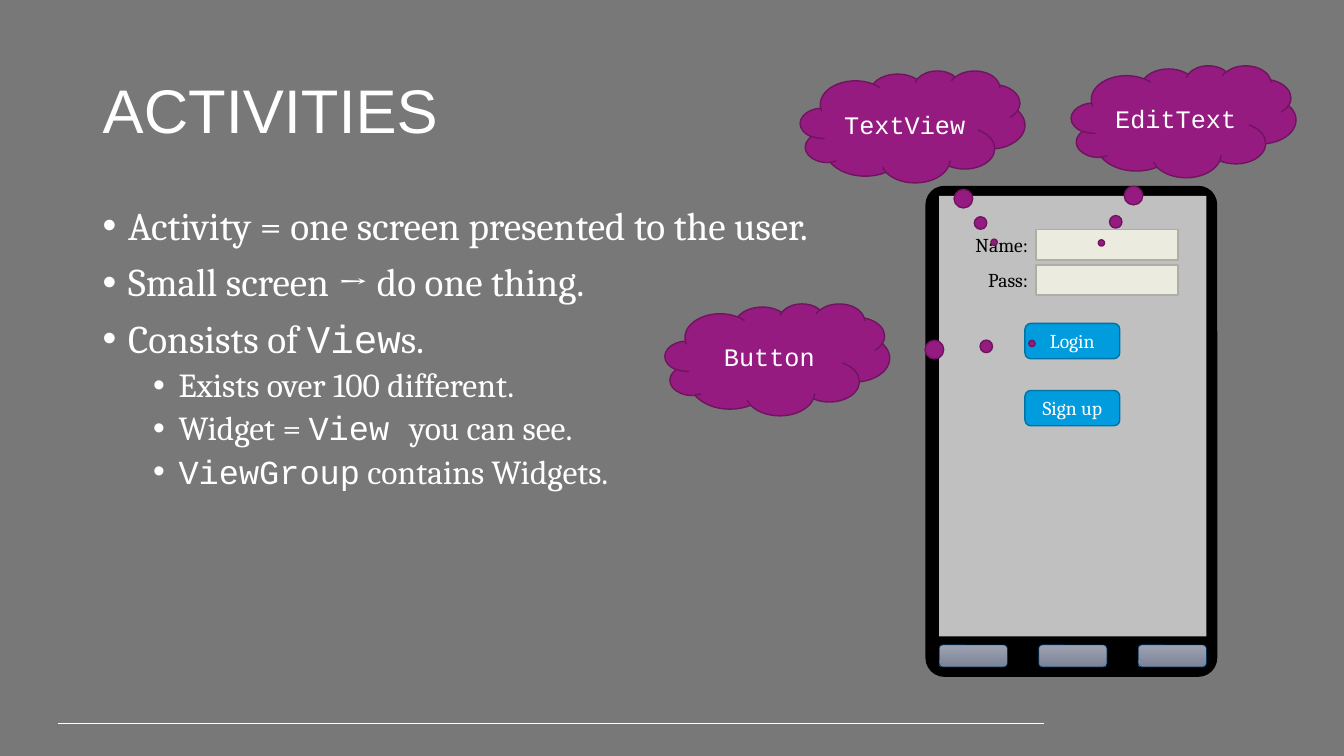
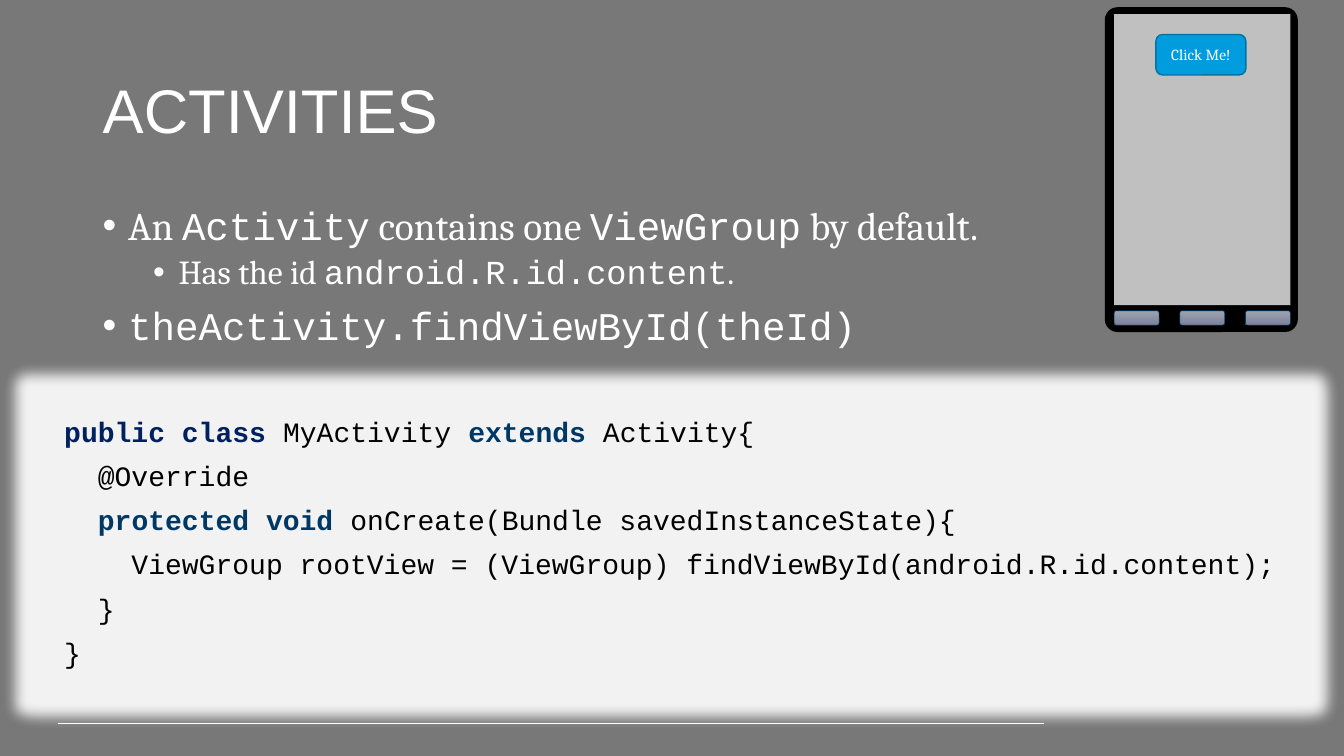
from lxml import etree
from pptx import Presentation
from pptx.dml.color import RGBColor
from pptx.enum import shapes, text
from pptx.oxml import ns
from pptx.util import Cm, Pt

WHITE = RGBColor(0xFF, 0xFF, 0xFF)
BLACK = RGBColor(0x00, 0x00, 0x00)
BACKGROUND = RGBColor(0x78, 0x78, 0x78)
SCREEN = RGBColor(0xC0, 0xC0, 0xC0)
KEY_TOP = RGBColor(0x9D, 0xA3, 0xB1)
KEY_BOTTOM = RGBColor(0x7C, 0x83, 0x97)
STEEL = RGBColor(0x00, 0x38, 0x65)
NAVY = RGBColor(0x00, 0x20, 0x60)
FIELD = RGBColor(0xEB, 0xEB, 0xDF)
FIELD_EDGE = RGBColor(0xAE, 0xAE, 0xA5)
BLUE = RGBColor(0x00, 0x9C, 0xDE)
BLUE_EDGE = RGBColor(0x00, 0x73, 0xA4)
PURPLE = RGBColor(0x96, 0x1B, 0x81)
PURPLE_EDGE = RGBColor(0x6F, 0x14, 0x5F)
PANEL = RGBColor(0xF2, 0xF2, 0xF2)

HEADING, SERIF, MONO = "Arial", "Cambria", "Courier New"
SHAPE = shapes.MSO_SHAPE
ALIGN = text.PP_ALIGN
MIDDLE = text.MSO_ANCHOR.MIDDLE


def add_element(parent, tag, **attributes):
    element = etree.SubElement(parent, ns.qn(tag))
    for name, value in attributes.items():
        element.set(name, str(value))
    return element


def add_effect(shape, tag, color, opacity=100, **attributes):
    """Put one effect, such as a glow, into the shape's effect list."""
    effects = shape._element.spPr.find(ns.qn("a:effectLst"))
    effect = add_element(effects, tag, **attributes)
    fill = add_element(effect, "a:srgbClr", val=color)
    add_element(fill, "a:alpha", val=opacity * 1000)


def write(frame, content, font=SERIF, size=14, color=WHITE, align=ALIGN.LEFT,
          spacing=None, before=0, level=None, accents=()):
    """Add a paragraph; segments between backticks take the accents in turn."""
    first = not frame.text
    paragraph = frame.paragraphs[0] if first else frame.add_paragraph()
    paragraph.alignment = align
    paragraph.line_spacing = spacing
    paragraph.space_before = Pt(0 if first else before)
    if level is not None:
        paragraph.level = level
        properties = paragraph._p.get_or_add_pPr()
        properties.set("marL", str(Cm(0.64 + 1.27 * level)))
        properties.set("indent", str(-Cm(0.64)))
        add_element(properties, "a:buFont", typeface=HEADING)
        add_element(properties, "a:buChar", char="•")
    for index, segment in enumerate(content.split("`")):
        if not segment:
            continue
        style = {"name": font, "size": Pt(size), "bold": False, "color": color}
        if index % 2:
            style.update(accents[index // 2])
        run = paragraph.add_run()
        run.text = segment
        run.font.color.rgb = style.pop("color")
        for name, value in style.items():
            setattr(run.font, name, value)


class Deck:
    def __init__(self):
        self.presentation = Presentation()
        self.presentation.slide_width = Cm(33.87)
        self.presentation.slide_height = Cm(19.05)
        self.slide = None

    def start_slide(self, title):
        self.slide = self.presentation.slides.add_slide(
            self.presentation.slide_layouts[6])
        background = self.slide.background.fill
        background.solid()
        background.fore_color.rgb = BACKGROUND
        rule = self.slide.shapes.add_connector(
            shapes.MSO_CONNECTOR.STRAIGHT, Cm(1.45), Cm(18.23), Cm(26.32), Cm(18.23))
        rule.line.color.rgb = WHITE
        rule.line.width = Pt(0.75)
        add_element(rule._element.spPr, "a:effectLst")
        frame = self.text_box(2.34, 1.02, 29.21, 3.68)
        frame.vertical_anchor = MIDDLE
        write(frame, title, font=HEADING, size=44, spacing=0.9)

    def text_box(self, left, top, width, height):
        box = self.slide.shapes.add_textbox(Cm(left), Cm(top), Cm(width), Cm(height))
        box.text_frame.word_wrap = True
        return box.text_frame

    def shape(self, kind, left, top, width, height, fill, line=None,
              line_width=1, adjust=(), parent=None):
        shape = (parent or self.slide).shapes.add_shape(
            kind, Cm(left), Cm(top), Cm(width), Cm(height))
        shape.shadow.inherit = False
        for index, value in enumerate(adjust):
            shape.adjustments[index] = value
        shape.fill.solid()
        shape.fill.fore_color.rgb = fill
        if line is None:
            shape.line.fill.background()
        else:
            shape.line.color.rgb = line
            shape.line.width = Pt(line_width)
        return shape

    def labelled(self, label, kind, *place, font=SERIF, size=14, **look):
        shape = self.shape(kind, *place, **look)
        shape.text_frame.vertical_anchor = MIDDLE
        write(shape.text_frame, label, font=font, size=size, align=ALIGN.CENTER)

    def button(self, label, left, top, width=2.39, height=0.89, size=14):
        self.labelled(label, SHAPE.ROUNDED_RECTANGLE, left, top, width, height,
                      size=size, fill=BLUE, line=BLUE_EDGE)

    def cloud(self, label, left, top, tail):
        self.labelled(label, SHAPE.CLOUD_CALLOUT, left, top, 5.66, 2.82, font=MONO,
                      size=18, fill=PURPLE, line=PURPLE_EDGE, adjust=tail)

    def field(self, label, top):
        frame = self.text_box(24, top, 2.16, 0.86)
        write(frame, label, color=BLACK, align=ALIGN.RIGHT)
        self.shape(SHAPE.RECTANGLE, 26.11, top + 0.05, 3.58, 0.76, FIELD, FIELD_EDGE)

    def phone(self, left, top, width, height):
        group = self.slide.shapes.add_group_shape()
        self.shape(SHAPE.ROUNDED_RECTANGLE, left, top, width, height, BLACK, BLACK,
                   adjust=[0.063], parent=group)
        screen_left, screen_width = left + 0.045 * width, 0.92 * width
        screen = self.shape(SHAPE.RECTANGLE, screen_left, top + 0.019 * height,
                            screen_width, 0.9 * height, SCREEN, parent=group)
        add_effect(screen, "a:outerShdw", BLACK, 63, blurRad=Pt(4.5),
                   dist=Pt(1.5), dir=5400000)
        key_width = 0.235 * width
        for index in range(3):
            key = self.shape(
                SHAPE.ROUNDED_RECTANGLE,
                screen_left + index * (screen_width - key_width) / 2,
                top + 0.936 * height, key_width, 0.045 * height,
                KEY_TOP, STEEL, 0.5, parent=group)
            key.fill.gradient()
            key.fill.gradient_angle = 270
            for stop, color in zip(key.fill.gradient_stops, (KEY_TOP, KEY_BOTTOM)):
                stop.color.rgb = color

    def bullets(self, width, height, items):
        """Write (level, text) items, with code between backticks."""
        frame = self.text_box(2.34, 5.08, width, height)
        for level, content in items:
            write(frame, content, size=28 - 4 * level, spacing=0.9,
                  before=10 - 5 * level, level=level, accents=[{"name": MONO}] * 2)

    def code(self, lines):
        """Write (text, keyword colours) lines on a glowing panel."""
        panel = self.shape(SHAPE.RECTANGLE, 1.37, 10.41, 31.09, 6.65, PANEL)
        add_effect(panel, "a:glow", PANEL, rad=Pt(18))
        panel.text_frame.vertical_anchor = text.MSO_ANCHOR.TOP
        for content, colors in lines:
            write(panel.text_frame, content, font=MONO, size=20, color=BLACK,
                  spacing=0.9, before=10,
                  accents=[{"bold": True, "color": color} for color in colors])


def add_views_slide(deck):
    deck.start_slide("ACTIVITIES")
    deck.bullets(20.62, 11.53, [
        (0, "Activity = one screen presented to the user."),
        (0, "Small screen → do one thing."),
        (0, "Consists of `View`s."),
        (1, "Exists over 100 different."),
        (1, "Widget = `View `you can see."),
        (1, "`ViewGroup` contains Widgets."),
    ])
    deck.phone(23.34, 4.7, 7.32, 12.34)
    for index, label in enumerate(["Name:", "Pass:"]):
        deck.field(label, 5.74 + 0.89 * index)
    for index, label in enumerate(["Login", "Sign up"]):
        deck.button(label, 25.83, 8.15 + 1.69 * index)
    deck.cloud("EditText", 27, 1.65, (-0.366, 1.086))
    deck.cloud("TextView", 20.17, 1.78, (0.363, 1.034))
    deck.cloud("Button", 16.76, 7.65, (1.134, -0.143))


def add_code_slide(deck):
    deck.start_slide("ACTIVITIES")
    deck.code([
        ("`public class `MyActivity `extends `Activity{", [NAVY, STEEL]),
        ("  @Override", []),
        ("  `protected void `onCreate(Bundle savedInstanceState){", [STEEL]),
        ("    ViewGroup rootView = (ViewGroup) findViewById(android.R.id.content);", []),
        ("  }", []),
        ("}", []),
    ])
    deck.bullets(29.21, 3.89, [
        (0, "An `Activity` contains one `ViewGroup` by default."),
        (1, "Has the id `android.R.id.content`."),
        (0, "`theActivity.findViewById(theId)`"),
    ])
    deck.phone(27.86, 0.2, 4.83, 8.15)
    deck.button("Click Me!", 29.13, 0.87, 2.27, 1.02, size=11)


def main():
    deck = Deck()
    add_views_slide(deck)
    add_code_slide(deck)
    deck.presentation.save("out.pptx")


if __name__ == "__main__":
    main()
